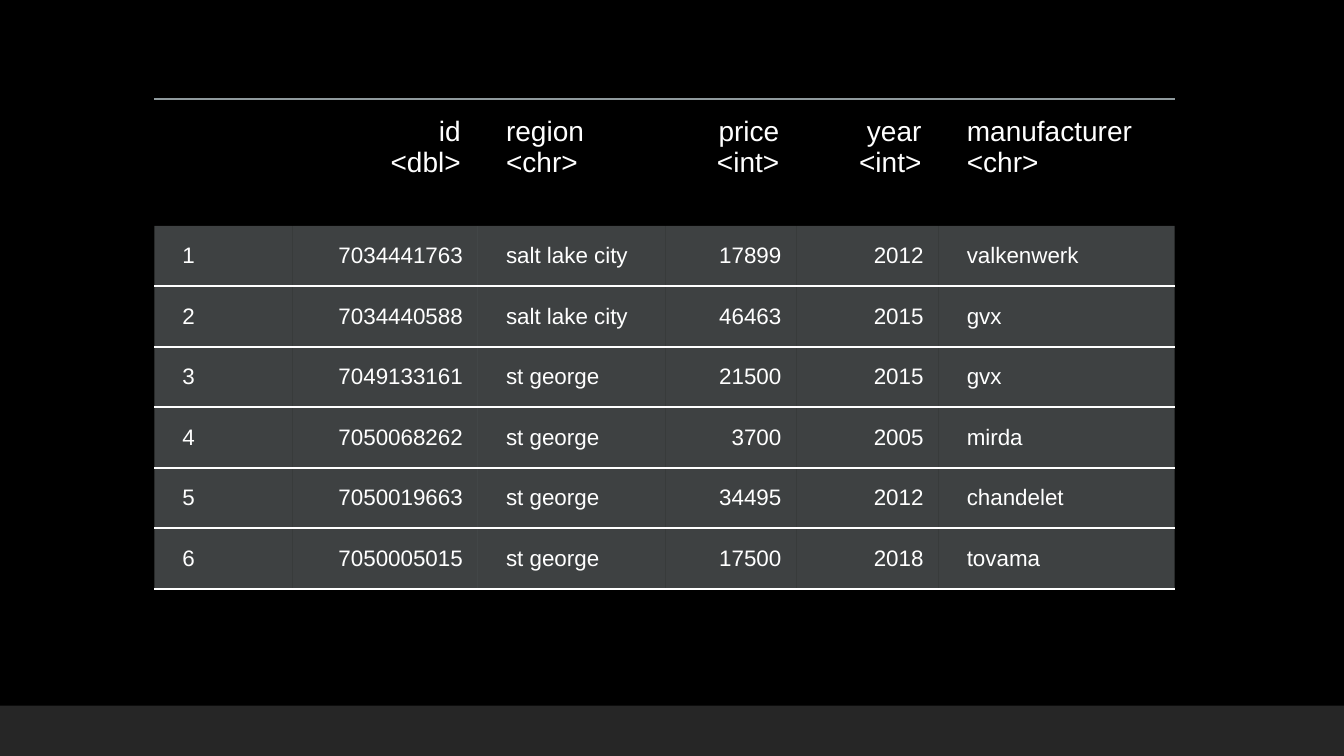
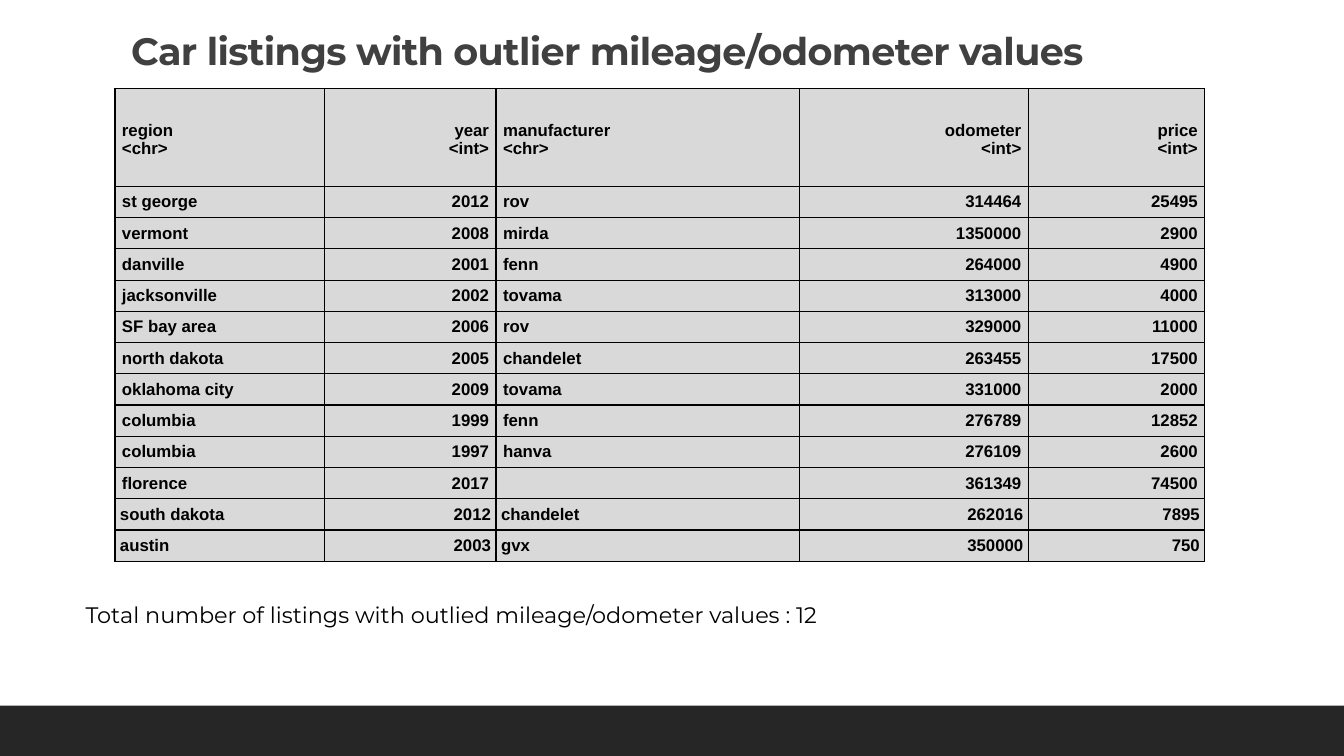
from dataclasses import dataclass

from lxml import etree
from pptx import Presentation
from pptx.dml.color import RGBColor
from pptx.enum.shapes import MSO_SHAPE
from pptx.enum.text import MSO_ANCHOR, MSO_AUTO_SIZE, PP_ALIGN
from pptx.oxml.ns import qn
from pptx.util import Inches, Pt

LEFT, RIGHT = PP_ALIGN.LEFT, PP_ALIGN.RIGHT
TOP, MIDDLE = MSO_ANCHOR.TOP, MSO_ANCHOR.MIDDLE
RECTANGLE = MSO_SHAPE.RECTANGLE
NO_AUTOFIT = MSO_AUTO_SIZE.NONE
TITLE_ONLY, BLANK = 5, 6
PLAIN_TABLE_STYLE = "{2D5ABB26-0587-4C30-8999-92F81FD0307C}"


@dataclass(frozen=True)
class Theme:
    black: str = "000000"
    white: str = "FFFFFF"
    band: str = "262626"
    title: str = "404040"
    grey_cell: str = "D9D9D9"
    glass_cell: str = "B4BCBE"
    header_rule: str = "8F9A9D"
    heading_font: str = "Montserrat"
    table_font: str = "Arial"
    title_size: float = 27.2
    note_size: float = 16
    dark_header_size: float = 20
    dark_body_size: float = 16
    light_table_size: float = 12


theme = Theme()


def write_text(frame, text, *, size, color, font=theme.table_font, bold=False,
               align=LEFT, anchor=MIDDLE, insets=(0.1, 0.05, 0.1, 0.05),
               line_spacing=None, tracking=None):
    """Fill a text frame, one paragraph for each line of text."""
    frame.word_wrap = True
    frame.vertical_anchor = anchor
    (frame.margin_left, frame.margin_top,
     frame.margin_right, frame.margin_bottom) = map(Inches, insets)
    for number, line in enumerate(text.split("\n")):
        paragraph = frame.add_paragraph() if number else frame.paragraphs[0]
        paragraph.alignment = align
        if line_spacing:
            paragraph.line_spacing = line_spacing
        if not line:
            # An empty cell keeps the type size, so its row does not grow
            etree.SubElement(paragraph._p, qn("a:endParaRPr"), sz=str(int(size * 100)))
            continue
        run = paragraph.add_run()
        run.text = line
        run.font.name, run.font.size, run.font.bold = font, Pt(size), bold
        run.font.color.rgb = RGBColor.from_string(color)
        if tracking:
            run._r.get_or_add_rPr().set("spc", str(int(tracking * 100)))


def add_color(parent, color, opacity=100):
    """Add a solid fill, with its opacity in percent, to an XML element."""
    fill = etree.SubElement(parent, qn("a:solidFill"))
    value = etree.SubElement(fill, qn("a:srgbClr"), val=color)
    if opacity < 100:
        etree.SubElement(value, qn("a:alpha"), val=str(opacity * 1000))


# Presentation and slides
presentation = Presentation()
presentation.slide_width, presentation.slide_height = Inches(13.33), Inches(7.5)
dark_slide = presentation.slides.add_slide(presentation.slide_layouts[BLANK])
light_slide = presentation.slides.add_slide(presentation.slide_layouts[TITLE_ONLY])
for slide, color in ((dark_slide, theme.black), (light_slide, theme.white)):
    slide.background.fill.solid()
    slide.background.fill.fore_color.rgb = RGBColor.from_string(color)

# Footer band, moved to the master that both slides share
band = dark_slide.shapes.add_shape(RECTANGLE, 0, Inches(7), presentation.slide_width, Inches(0.5))
band.shadow.inherit = False
band.fill.solid()
band.fill.fore_color.rgb = RGBColor.from_string(theme.band)
band.line.fill.background()
presentation.slide_master.shapes._spTree.insert(2, band._element)

# Title of the light slide
title = light_slide.shapes.title
title.left, title.top, title.width, title.height = map(Inches, (1.2, 0.31, 11, 0.78))
title.text_frame.auto_size = NO_AUTOFIT
write_text(title.text_frame, "Car listings with outlier mileage/odometer values",
           size=theme.title_size, color=theme.title, font=theme.heading_font, bold=True,
           anchor=TOP, line_spacing=0.8, tracking=-0.5)

# Table contents
listing_rows = [
    ("", "id\n<dbl>", "region\n<chr>", "price\n<int>", "year\n<int>", "manufacturer\n<chr>"),
    ("1", "7034441763", "salt lake city", "17899", "2012", "valkenwerk"),
    ("2", "7034440588", "salt lake city", "46463", "2015", "gvx"),
    ("3", "7049133161", "st george", "21500", "2015", "gvx"),
    ("4", "7050068262", "st george", "3700", "2005", "mirda"),
    ("5", "7050019663", "st george", "34495", "2012", "chandelet"),
    ("6", "7050005015", "st george", "17500", "2018", "tovama"),
]
outlier_rows = [
    ("region\n<chr>", "year\n<int>", "manufacturer\n<chr>", "odometer\n<int>", "price\n<int>"),
    ("st george", "2012", "rov", "314464", "25495"),
    ("vermont", "2008", "mirda", "1350000", "2900"),
    ("danville", "2001", "fenn", "264000", "4900"),
    ("jacksonville", "2002", "tovama", "313000", "4000"),
    ("SF bay area", "2006", "rov", "329000", "11000"),
    ("north dakota", "2005", "chandelet", "263455", "17500"),
    ("oklahoma city", "2009", "tovama", "331000", "2000"),
    ("columbia", "1999", "fenn", "276789", "12852"),
    ("columbia", "1997", "hanva", "276109", "2600"),
    ("florence", "2017", "", "361349", "74500"),
    ("south dakota", "2012", "chandelet", "262016", "7895"),
    ("austin", "2003", "gvx", "350000", "750"),
]

# Row looks: text format, fill (colour, opacity) and borders (width, colour, opacity)
white_rule = (1.5, theme.white, 100)
dark_header = dict(
    format=dict(size=theme.dark_header_size, color=theme.white, anchor=TOP,
                insets=(0.28, 0.17, 0.17, 0.17)),
    fill=None, borders={"T": (1.5, theme.header_rule, 60)})
dark_body = dict(
    format=dict(size=theme.dark_body_size, color=theme.white,
                insets=(0.28, 0.15, 0.15, 0.15)),
    fill=(theme.glass_cell, 35), borders={"B": white_rule})
light_format = dict(size=theme.light_table_size, color=theme.black, bold=True)
light_grid = dict(fill=(theme.grey_cell, 100),
                  borders={side: (1, theme.black, 100) for side in "LRTB"})
light_header, light_body, light_end = (
    dict(format=dict(light_format, insets=insets), **light_grid)
    for insets in ((0.07, 0.07, 0.07, 0.03), (0.07, 0.02, 0.07, 0.02), (0.05, 0.02, 0.05, 0.02)))

tables = [
    dict(slide=dark_slide, rows=listing_rows, left=1.53, top=0.98,
         columns=(1.37, 1.84, 1.86, 1.3, 1.41, 2.34), right_columns=(1, 3, 4),
         header_height=1.26, row_height=0.6, looks=[dark_header] + [dark_body] * 6),
    dict(slide=light_slide, rows=outlier_rows, left=1.14, top=0.88,
         columns=(2.08, 1.7, 3.01, 2.27, 1.75), right_columns=(1, 3, 4),
         header_height=0.97, row_height=0.31,
         looks=[light_header] + [light_body] * 10 + [light_end] * 2),
]

# Tables
for plan in tables:
    heights = [plan["header_height"]] + [plan["row_height"]] * (len(plan["rows"]) - 1)
    frame = plan["slide"].shapes.add_table(
        len(heights), len(plan["columns"]), Inches(plan["left"]), Inches(plan["top"]),
        Inches(sum(plan["columns"])), Inches(sum(heights)))
    table = frame.table
    table.first_row = table.horz_banding = False
    table._tbl.tblPr.find(qn("a:tableStyleId")).text = PLAIN_TABLE_STYLE
    for column, width in zip(table.columns, plan["columns"]):
        column.width = Inches(width)
    for row, height, values, look in zip(table.rows, heights, plan["rows"], plan["looks"]):
        row.height = Inches(height)
        for index, (cell, value) in enumerate(zip(row.cells, values)):
            align = RIGHT if index in plan["right_columns"] else LEFT
            write_text(cell.text_frame, value, align=align, **look["format"])
            cell.vertical_anchor = look["format"].get("anchor", MIDDLE)
            (cell.margin_left, cell.margin_top,
             cell.margin_right, cell.margin_bottom) = map(Inches, look["format"]["insets"])
            properties = cell._tc.get_or_add_tcPr()
            for attribute in ("wrap", "lIns", "tIns", "rIns", "bIns"):
                properties.attrib.pop(attribute, None)
            for side, (width, color, opacity) in look["borders"].items():
                border = etree.SubElement(properties, qn(f"a:ln{side}"), w=str(Pt(width)))
                add_color(border, color, opacity)
            if look["fill"]:
                add_color(properties, *look["fill"])
            else:
                etree.SubElement(properties, qn("a:noFill"))

# Count below the outlier table
note = light_slide.shapes.add_shape(
    RECTANGLE, Inches(0.75), Inches(5.96), Inches(8.68), Inches(0.27))
note.shadow.inherit = False
note.fill.solid()
note.fill.fore_color.rgb = RGBColor.from_string(theme.white)
note.line.fill.background()
write_text(note.text_frame, "Total number of listings with outlied mileage/odometer values : 12",
           size=theme.note_size, color=theme.black, font=theme.heading_font,
           insets=(0.1, 0, 0.1, 0))

presentation.save("out.pptx")
